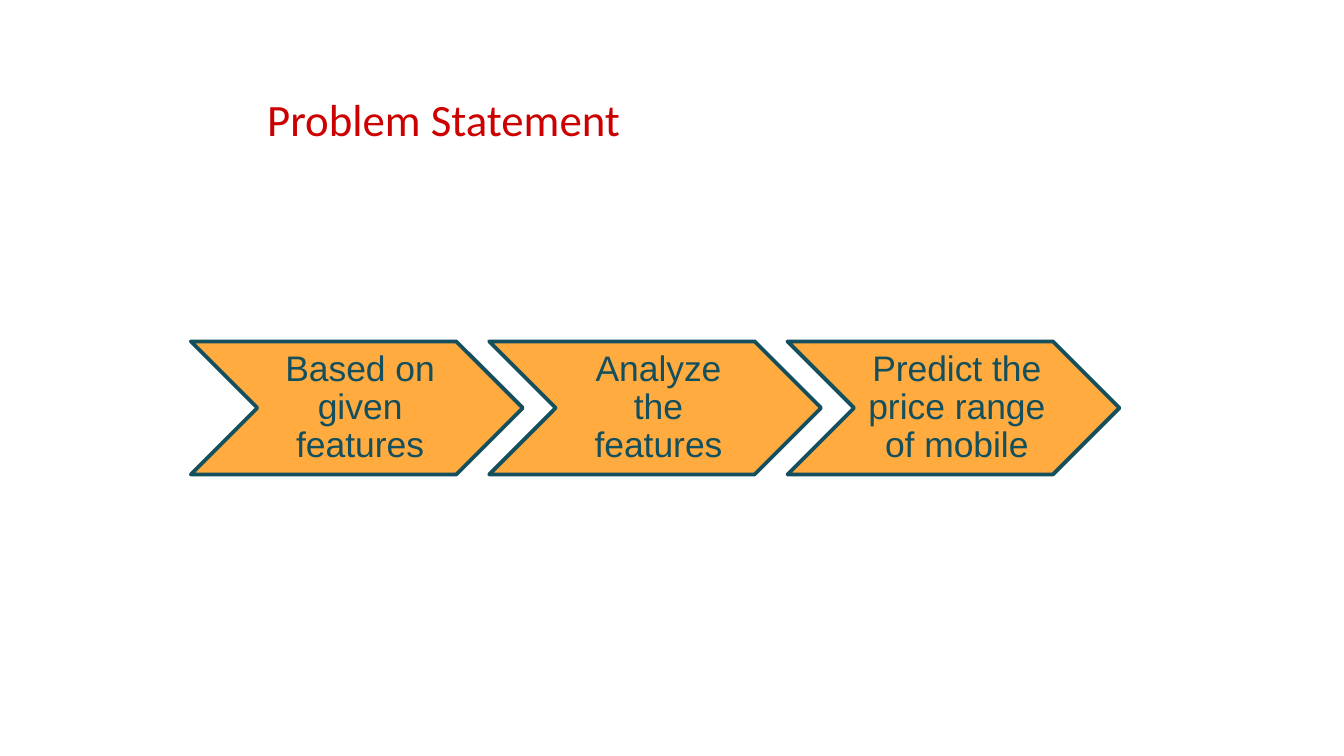
from pptx import Presentation
from pptx.dml.color import RGBColor
from pptx.enum.shapes import MSO_SHAPE
from pptx.enum.text import MSO_ANCHOR, PP_ALIGN
from pptx.util import Inches, Pt


def color(hex_string):
    return RGBColor.from_string(hex_string)


RED, ORANGE, TEAL = "CC0000", "FFAB40", "134F5C"
STEPS = [
    "Based on given features",
    "Analyze the features",
    "Predict the price range of mobile",
]
FIRST_LEFT, STEP_TOP = 1.42, 2.54
STEP_WIDTH, STEP_HEIGHT = 2.47, 0.99
COLUMN_PITCH = 2.22  # chevrons interlock, so the pitch is below their width

presentation = Presentation()
presentation.slide_width = Inches(10)
presentation.slide_height = Inches(10 * 9 / 16)
slide = presentation.slides.add_slide(presentation.slide_layouts[6])

title = slide.shapes.add_textbox(Inches(1.89), Inches(0.63), Inches(3.8), Inches(0.5))
title.text_frame.word_wrap = True
paragraph = title.text_frame.paragraphs[0]
paragraph.text = "Problem Statement"
paragraph.font.name = "Calibri"
paragraph.font.size = Pt(24)
paragraph.font.color.rgb = color(RED)

for column, step in enumerate(STEPS):
    chevron = slide.shapes.add_shape(
        MSO_SHAPE.CHEVRON,
        Inches(FIRST_LEFT + column * COLUMN_PITCH), Inches(STEP_TOP),
        Inches(STEP_WIDTH), Inches(STEP_HEIGHT),
    )
    chevron.shadow.inherit = False
    chevron.fill.solid()
    chevron.fill.fore_color.rgb = color(ORANGE)
    chevron.line.color.rgb = color(TEAL)
    chevron.line.width = Pt(2)

    frame = chevron.text_frame
    frame.word_wrap = True
    frame.vertical_anchor = MSO_ANCHOR.MIDDLE
    frame.margin_left = Inches(0.08)
    frame.margin_top = frame.margin_right = frame.margin_bottom = Inches(0.03)
    paragraph = frame.paragraphs[0]
    paragraph.text = step
    paragraph.alignment = PP_ALIGN.CENTER
    paragraph.line_spacing = 0.9
    paragraph.font.name = "Arial"
    paragraph.font.size = Pt(19)
    paragraph.font.color.rgb = color(TEAL)

presentation.save("out.pptx")
